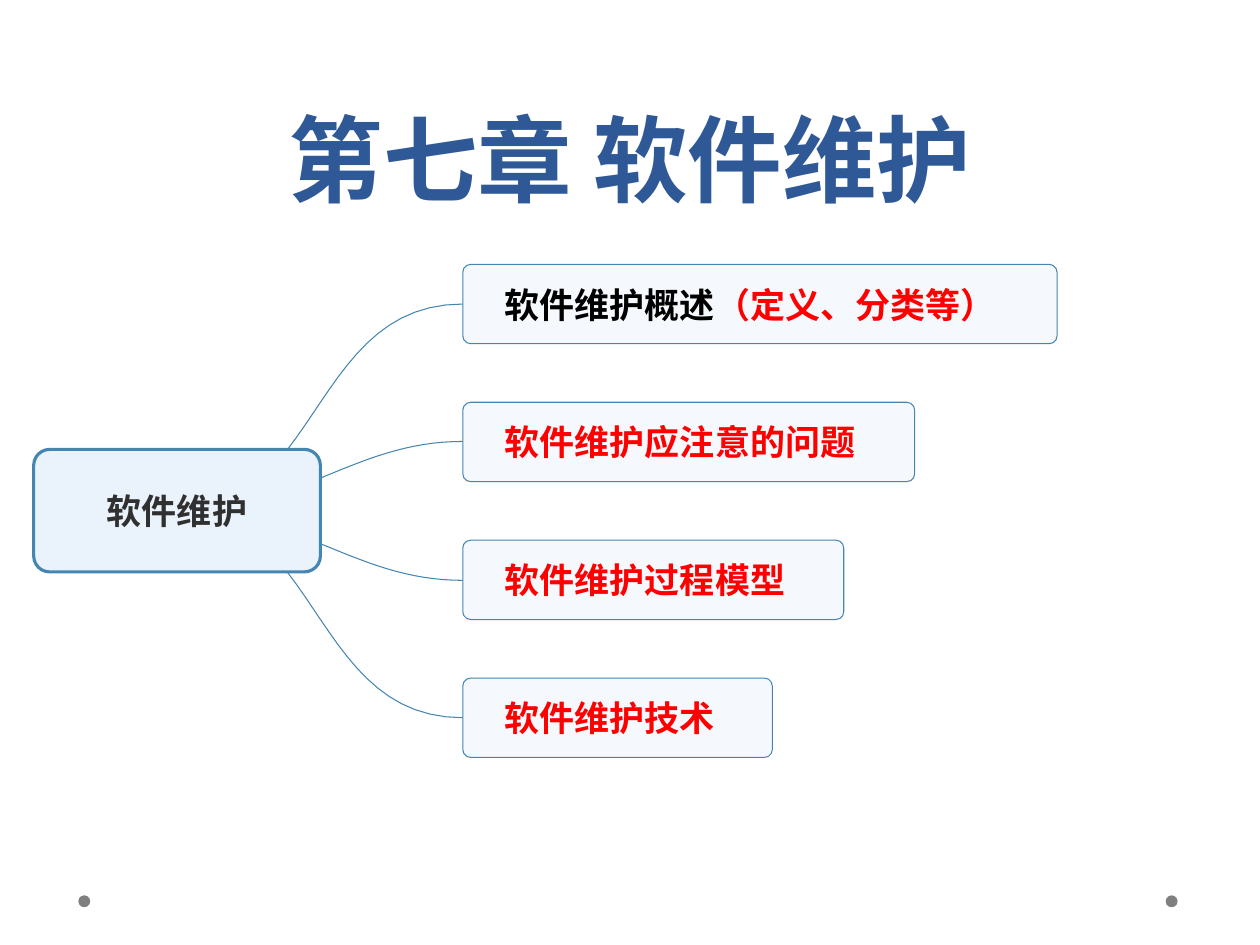
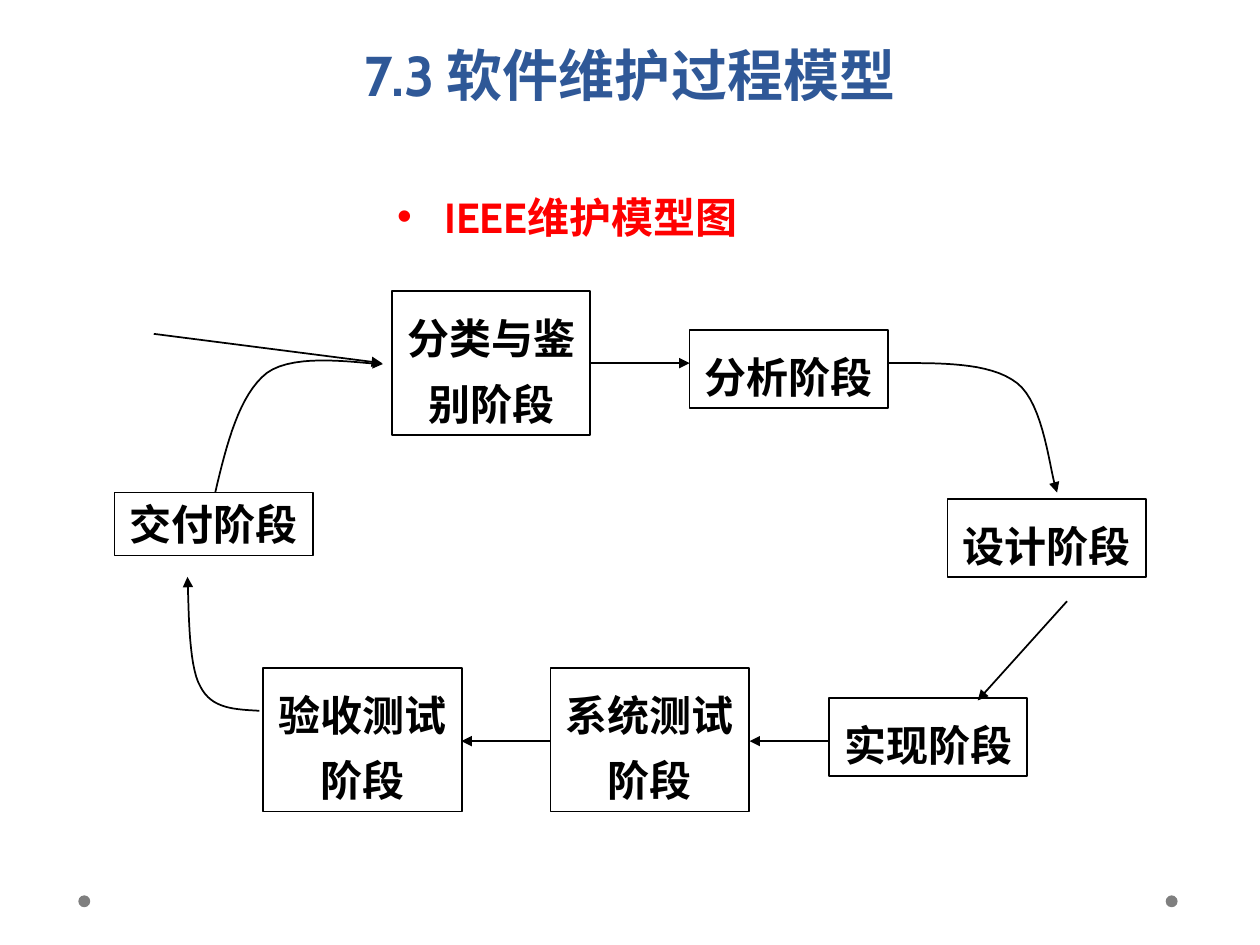
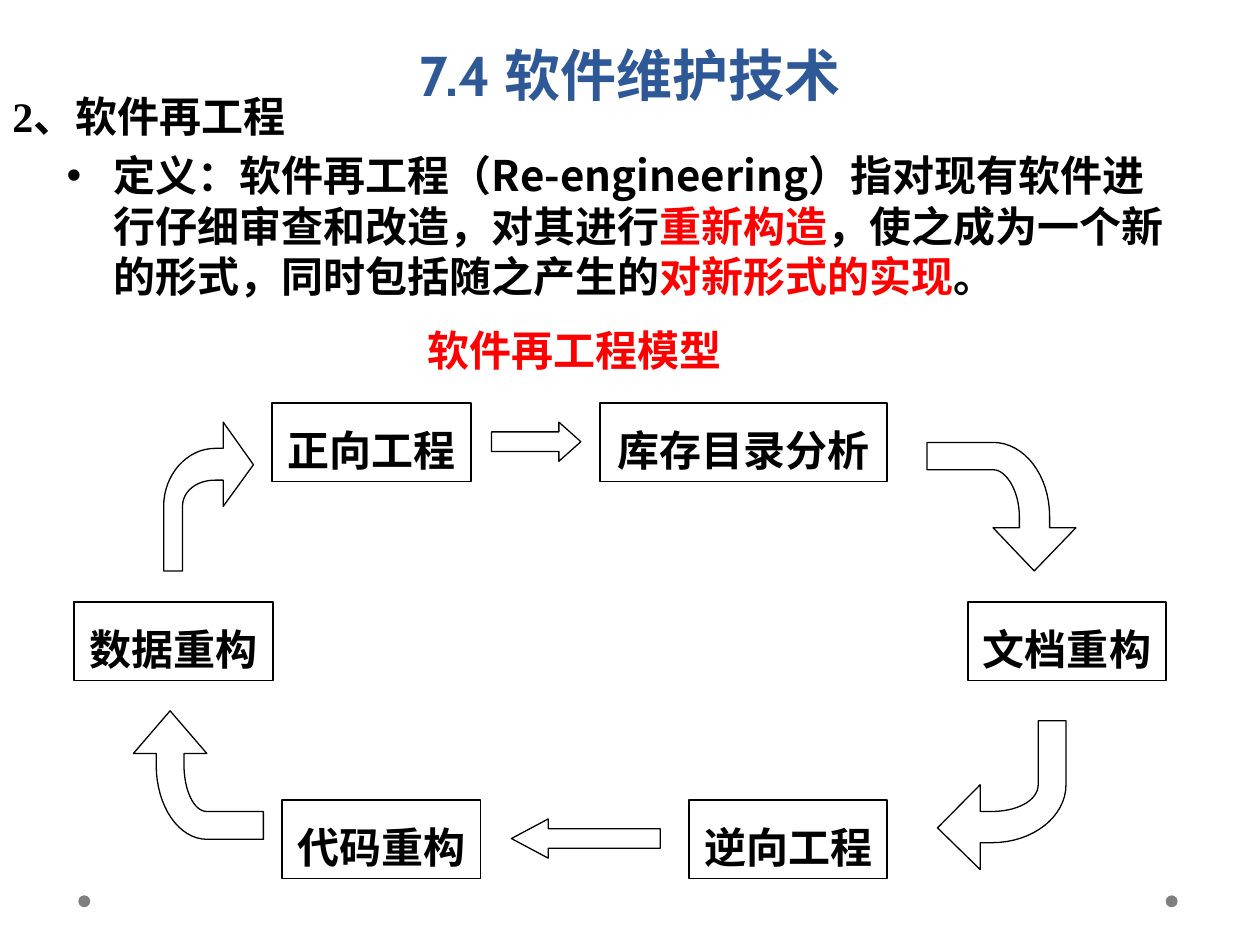
from lxml.etree import SubElement
from pptx import Presentation
from pptx.dml.color import RGBColor
from pptx.enum.shapes import MSO_CONNECTOR, MSO_SHAPE
from pptx.enum.text import MSO_ANCHOR, MSO_AUTO_SIZE, PP_ALIGN
from pptx.oxml.ns import qn
from pptx.util import Cm, Pt

INK = {
    "title": "2F5897", "text": "000000", "red": "FF0000", "root": "303030",
    "edge": "4486B1", "core": "EAF3FC", "leaf": "F5F9FE", "dot": "7F7F7F",
}
HAN = "Noto Sans CJK SC"
LATIN = "Times New Roman"
HEAD = "Cabin"
STEPS = 16
WIDE, LOW, TALL = 4, 1.58, 2.9  # stage box sizes


def trace(start, parts):
    """Turn line ends (2 numbers) and curves (6 numbers) into points."""
    points = [start]
    for part in parts:
        if len(part) == 2:
            points.append(part)
            continue
        ends = [points[-1], part[:2], part[2:4], part[4:]]
        for step in range(1, STEPS + 1):
            t = step / STEPS
            rates = ((1 - t) ** 3, 3 * t * (1 - t) ** 2, 3 * t * t * (1 - t), t ** 3)
            points.append(tuple(sum(r * e[i] for r, e in zip(rates, ends)) for i in (0, 1)))
    return [(Cm(x), Cm(y)) for x, y in points]


class Deck:
    def __init__(self):
        self.file = Presentation()
        self.file.slide_width, self.file.slide_height = Cm(25.4), Cm(19.05)
        self.slide = None

    def page(self, layout):
        self.slide = self.file.slides.add_slide(self.file.slide_layouts[layout])

    def place(self, shape, x, y, w, h):
        shape.left, shape.top, shape.width, shape.height = Cm(x), Cm(y), Cm(w), Cm(h)

    def paint(self, shape, fill=None, line=None, width=1):
        shape.shadow.inherit = False
        if fill:
            shape.fill.solid()
            shape.fill.fore_color.rgb = RGBColor.from_string(INK[fill])
        else:
            shape.fill.background()
        if line:
            self.stroke(shape, line, width)
        else:
            shape.line.fill.background()

    def stroke(self, shape, ink, width):
        shape.line.color.rgb = RGBColor.from_string(INK[ink])
        shape.line.width = Pt(width)

    def tip(self, shape):
        SubElement(shape.element.spPr.find(qn("a:ln")), qn("a:tailEnd"), type="triangle")

    def letter(self, shape, parts, size=24, font=LATIN, pitch=None,
               align=PP_ALIGN.CENTER, anchor=MSO_ANCHOR.MIDDLE, wrap=True):
        """Fill a shape with one paragraph of (text, colour) parts."""
        frame = shape.text_frame
        frame.word_wrap, frame.auto_size = wrap, MSO_AUTO_SIZE.NONE
        frame.vertical_anchor = anchor
        para = frame.paragraphs[0]
        para.alignment, para.space_before = align, Pt(0)
        if pitch:
            para.line_spacing = Pt(pitch)
        para.text = parts[0][0]
        for text, _ in parts[1:]:
            para.add_run().text = text
        for run, (_, ink) in zip(para.runs, parts):
            run.font.size, run.font.bold, run.font.name = Pt(size), True, font
            run.font.color.rgb = RGBColor.from_string(INK[ink])
            SubElement(run.font._element, qn("a:ea"), typeface=HAN)
        return para

    def title(self, text, size=32, high=2.4, anchor=MSO_ANCHOR.TOP):
        shape = self.slide.shapes.title
        self.place(shape, 1.27, 0, 22.86, high)
        self.letter(shape, [(text, "title")], size, HEAD, 58, anchor=anchor)

    def body(self, parts, x, y, w, h, font):
        shape = self.slide.placeholders[1]
        self.place(shape, x, y, w, h)
        para = self.letter(shape, parts, 24, font, 28.7, PP_ALIGN.LEFT, MSO_ANCHOR.TOP)
        tint = SubElement(para._p.get_or_add_pPr(), qn("a:buClr"))
        SubElement(tint, qn("a:srgbClr"), val=INK[parts[0][1]])

    def label(self, text, ink, x, y, w, align, wrap=True):
        shape = self.slide.shapes.add_textbox(Cm(x), Cm(y), Cm(w), Cm(LOW))
        self.letter(shape, [(text, ink)], pitch=37.5, align=align,
                    anchor=MSO_ANCHOR.TOP, wrap=wrap)

    def shape(self, kind, x, y, w, h, fill=None, line=None, width=1, adjust=()):
        shape = self.slide.shapes.add_shape(kind, Cm(x), Cm(y), Cm(w), Cm(h))
        for i, value in enumerate(adjust):
            shape.adjustments[i] = value
        self.paint(shape, fill, line, width)
        return shape

    def stage(self, text, x, y, w=WIDE, h=LOW, pitch=37.5):
        shape = self.shape(MSO_SHAPE.RECTANGLE, x, y, w, h, line="text")
        self.letter(shape, [(text, "text")], pitch=pitch)

    def node(self, parts, x, y, w, h, fill, width, bend, align, inset):
        shape = self.shape(MSO_SHAPE.ROUNDED_RECTANGLE, x, y, w, h,
                           fill, "edge", width, [bend])
        frame = shape.text_frame
        frame.margin_left = Cm(inset)
        frame.margin_right = frame.margin_top = frame.margin_bottom = 0
        self.letter(shape, parts, 20, HAN, align=align)

    def arrow(self, x1, y1, x2, y2):
        line = self.slide.shapes.add_connector(
            MSO_CONNECTOR.STRAIGHT, Cm(x1), Cm(y1), Cm(x2), Cm(y2))
        self.stroke(line, "text", 1)
        self.tip(line)
        SubElement(line.element.spPr, qn("a:effectLst"))

    def curve(self, start, parts, ink="text", width=1.0, close=False, tip=False):
        points = trace(start, parts)
        pen = self.slide.shapes.build_freeform(*points[0])
        pen.add_line_segments(points[1:], close=close)
        shape = pen.convert_to_shape()
        self.paint(shape, None, ink, width)
        if tip:
            self.tip(shape)

    def dots(self):
        """Put the two footer dots on the master."""
        for x in (1.58, 23.5):
            dot = self.shape(MSO_SHAPE.OVAL, x, 18.05, 0.24, 0.24, "dot")
            self.file.slide_master.shapes.element.append(dot.element)


def chapter(deck):
    deck.page(5)
    deck.dots()
    deck.title("第七章 软件维护", 54, 4.45, MSO_ANCHOR.BOTTOM)
    # Branches, mirrored about the middle of the root
    axis = 10.3
    arms = [((5.79, 9.07), (6.76, 7.82, 7.39, 6.13, 9.33, 6.13)),
            ((6.48, 9.63), (7.37, 9.27, 8.2, 8.9, 9.33, 8.9))]
    for start, bend in arms:
        deck.curve(start, [bend], "edge", 0.6)
        flip = tuple(2 * axis - v if i % 2 else v for i, v in enumerate(bend))
        deck.curve((start[0], 2 * axis - start[1]), [flip], "edge", 0.6)
    # Root and topics
    deck.node([("软件维护", "root")], 0.68, 9.06, 5.78, 2.47,
              "core", 1.79, 0.13, PP_ALIGN.CENTER, 0)
    topics = [
        ([("软件维护概述", "text"), ("（定义、分类等）", "red")], 11.98),
        ([("软件维护应注意的问题", "red")], 9.11),
        ([("软件维护过程模型", "red")], 7.68),
        ([("软件维护技术", "red")], 6.24),
    ]
    for i, (parts, wide) in enumerate(topics):
        deck.node(parts, 9.33, 5.33 + 2.78 * i, wide, 1.6,
                  "leaf", 0.6, 0.1, PP_ALIGN.LEFT, 0.8)


def model(deck):
    deck.page(1)
    deck.title("7.3 软件维护过程模型")
    deck.body([("IEEE维护模型图", "red")], 7.75, 3.73, 9.02, 1.63, HEAD)
    # Stages
    for text, x, y, high in [
        ("分类与鉴别阶段", 7.9, 5.87, TALL),
        ("分析阶段", 13.9, 6.65, LOW),
        ("设计阶段", 19.1, 10.06, LOW),
        ("实现阶段", 16.71, 14.07, LOW),
        ("系统测试阶段", 11.1, 13.46, TALL),
        ("验收测试阶段", 5.31, 13.46, TALL),
    ]:
        deck.stage(text, x, y, h=high)
    deck.stage("交付阶段", 2.31, 9.93, h=1.27, pitch=28.7)
    # Straight arrows
    for ends in [
        (3.1, 6.73, 7.7, 7.32), (11.91, 7.32, 13.9, 7.32),
        (21.51, 12.12, 19.71, 14.12), (16.71, 14.94, 15.11, 14.94),
        (11.1, 14.94, 9.3, 14.94),
    ]:
        deck.arrow(*ends)
    # Curved arrows
    for start, *bends in [
        ((17.9, 7.32), (18.92, 7.32, 19.94, 7.29, 20.5, 7.72),
         (21.06, 8.15, 21.16, 9.53, 21.31, 9.93)),
        ((5.23, 14.33), (4.75, 14.3, 4.27, 14.3, 4.04, 13.84),
         (3.78, 13.41, 3.81, 12.04, 3.78, 11.63)),
        ((4.34, 9.93), (4.57, 8.94, 4.83, 7.95, 5.38, 7.52),
         (5.97, 7.09, 7.32, 7.34, 7.72, 7.34)),
    ]:
        deck.curve(start, bends, tip=True)


def rework(deck):
    deck.page(1)
    deck.title("7.4 软件维护技术")
    deck.body([
        ("定义：软件再工程（Re-engineering）指对现有软件进行仔细审查和改造，对其进行", "text"),
        ("重新构造", "red"),
        ("，使之成为一个新的形式，同时包括随之产生的", "text"),
        ("对新形式的实现", "red"),
        ("。", "text"),
    ], 1.09, 2.9, 22.86, 3.63, HAN)
    deck.label("2、软件再工程", "text", 0, 1.4, 23.4, PP_ALIGN.LEFT)
    deck.label("软件再工程模型", "red", 8.36, 6.12, 6.43, PP_ALIGN.CENTER, False)
    # Stages
    for text, x, y, wide in [
        ("数据重构", 1.5, 12.14, WIDE), ("正向工程", 5.49, 8.13, WIDE),
        ("库存目录分析", 12.09, 8.13, 5.79), ("代码重构", 5.69, 16.13, WIDE),
        ("逆向工程", 13.89, 16.13, WIDE), ("文档重构", 19.51, 12.14, WIDE),
    ]:
        deck.stage(text, x, y, wide)
    # Straight block arrows
    deck.shape(MSO_SHAPE.RIGHT_ARROW, 9.91, 8.51, 1.8, 0.79,
               line="text", width=0.75, adjust=(0.5, 0.56))
    deck.shape(MSO_SHAPE.LEFT_ARROW, 10.31, 16.51, 3, 0.79,
               line="text", width=0.75, adjust=(0.5, 0.94))
    # Bent block arrows, each from its tip
    for start, *parts in [
        ((5.11, 9.37), (4.5, 8.51), (4.5, 9.04), (4.34, 9.04),
         (3.76, 9.04, 3.3, 9.58, 3.3, 10.21), (3.3, 11.51), (3.68, 11.51), (3.68, 10.21),
         (3.68, 9.91, 3.96, 9.68, 4.34, 9.68), (4.5, 9.68), (4.5, 10.21)),
        ((20.85, 11.51), (21.69, 10.64), (21.16, 10.64), (21.16, 10.41),
         (21.16, 9.58, 20.65, 8.92, 20.02, 8.92), (18.69, 8.92), (18.69, 9.47), (20.02, 9.47),
         (20.29, 9.47, 20.55, 9.91, 20.55, 10.41), (20.55, 10.64), (20.02, 10.64)),
        ((18.9, 16.69), (19.76, 17.53), (19.76, 16.99), (19.99, 16.99),
         (20.83, 16.99, 21.49, 16.46, 21.49, 15.82), (21.49, 14.53), (20.93, 14.53),
         (20.93, 15.82), (20.93, 16.13, 20.52, 16.36, 19.99, 16.36), (19.76, 16.36),
         (19.76, 15.82)),
        ((3.43, 14.33), (2.69, 15.19), (3.15, 15.19), (3.15, 15.42),
         (3.15, 16.26, 3.61, 16.92, 4.17, 16.92), (5.31, 16.92), (5.31, 16.36), (4.17, 16.36),
         (3.91, 16.36, 3.71, 15.93, 3.71, 15.42), (3.71, 15.19), (4.17, 15.19)),
    ]:
        deck.curve(start, parts, width=0.75, close=True)


def main():
    deck = Deck()
    chapter(deck)
    model(deck)
    rework(deck)
    deck.file.save("out.pptx")


if __name__ == "__main__":
    main()
